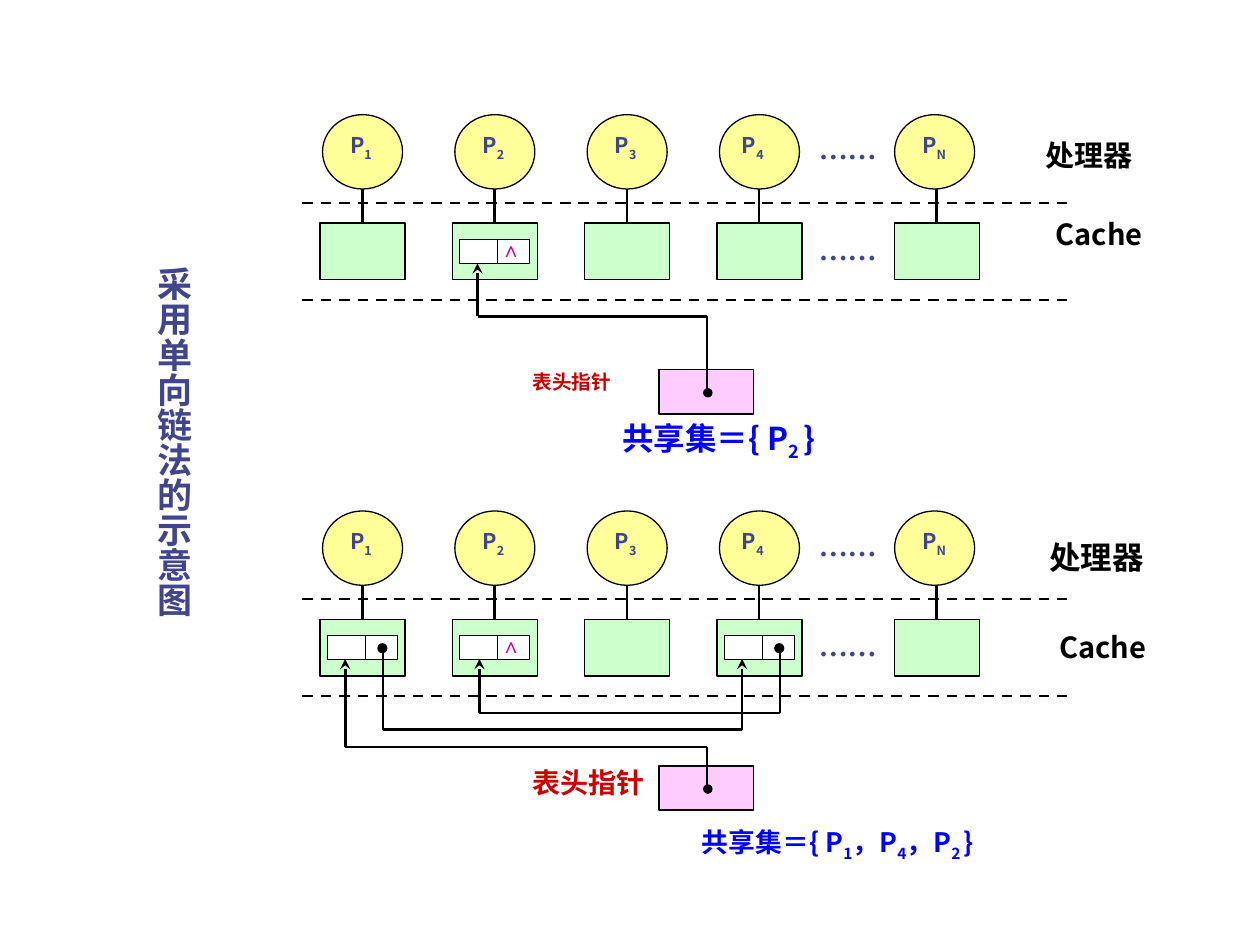
from itertools import pairwise

from lxml import etree
from pptx import Presentation
from pptx.dml.color import RGBColor
from pptx.enum.dml import MSO_LINE
from pptx.enum.shapes import MSO_CONNECTOR, MSO_SHAPE
from pptx.enum.text import MSO_AUTO_SIZE, PP_ALIGN
from pptx.oxml.ns import qn
from pptx.util import Inches, Pt

RECT, OVAL = MSO_SHAPE.RECTANGLE, MSO_SHAPE.OVAL
STRAIGHT, DASH = MSO_CONNECTOR.STRAIGHT, MSO_LINE.DASH
JUSTIFY, GROW = PP_ALIGN.JUSTIFY, MSO_AUTO_SIZE.SHAPE_TO_FIT_TEXT


class Theme:
    ink, title, shared = "000000", "40458C", "0000FF"
    processor, cache, slot, head = "FFFF99", "CCFFCC", "FFFFFF", "FFCCFF"
    pointer, null = "CC0000", "D60093"
    sans, serif, latin = "Noto Sans CJK SC", "Times New Roman", "Lato"
    title_size, large, medium, name_size = 20, 18, 16.6, 12.4
    thin, thick = 0.75, 1.5


deck = Presentation()
deck.slide_width, deck.slide_height = Inches(10), Inches(7.5)
page = deck.slides.add_slide(deck.slide_layouts[6])

# The page is a grid of 100 columns by 75 rows; every length counts in these.
COL, ROW = deck.slide_width / 100, deck.slide_height / 75


def add_box(kind, left, top, width, height, fill):
    box = page.shapes.add_shape(kind, int(left * COL), int(top * ROW),
                                int(width * COL), int(height * ROW))
    box.shadow.inherit = False
    box.fill.solid()
    box.fill.fore_color.rgb = RGBColor.from_string(fill)
    box.line.color.rgb = RGBColor.from_string(Theme.ink)
    box.line.width = Pt(Theme.thin)


def add_wire(points, width=Theme.thick, dash=None, arrow=False):
    """Join the points with straight connectors; an arrowhead ends the last."""
    for (x1, y1), (x2, y2) in pairwise(points):
        wire = page.shapes.add_connector(STRAIGHT, int(x1 * COL), int(y1 * ROW),
                                         int(x2 * COL), int(y2 * ROW))
        wire.line.color.rgb = RGBColor.from_string(Theme.ink)
        wire.line.width = Pt(width)
        if dash:
            wire.line.dash_style = dash
        etree.SubElement(wire._element.spPr, qn("a:effectLst"))
    if arrow:
        etree.SubElement(wire.line._get_or_add_ln(), qn("a:tailEnd"), type="stealth")


# Each processor: subscript, left edge of its cache, shift of circle and label
PITCH, FIRST, LAST = 10.5, 25.4, 71
processors = [(str(i + 1), FIRST + PITCH * i, 0.2, 1.2) for i in range(3)]
processors += [("4", FIRST + PITCH * 3, 0.2, 0.8), ("N", LAST, 0, 1.2)]

# Each state: top row, then the left edges of the caches that hold a list entry
states = [(9.1, [FIRST + PITCH]),
          (40.55, [FIRST, FIRST + PITCH, FIRST + PITCH * 3])]

# Texts: place, spans (every second one a subscript), font, size, colour, spacing
texts = []
for top, holders in states:
    for name, left, circle_shift, label_shift in processors:
        circle = left + circle_shift
        add_box(OVAL, circle, top, 6.35, 5.9, Theme.processor)
        add_box(RECT, left, top + 8.6, 6.75, 4.5, Theme.cache)
        add_wire([(left + 3.35, top + 5.9), (left + 3.35, top + 8.6)])
        texts.append(((circle + label_shift, top + 1.1, 5, 3.5), ["P", name],
                      Theme.sans, Theme.name_size, Theme.title, 0.8))
    for offset in (1.1, 9.1):
        texts.append(((64, top + offset, 7.3, 4), ["……"],
                      Theme.serif, Theme.medium, Theme.title, 0.9))
    for offset in (7, 14.7):
        add_wire([(24, top + offset), (84.7, top + offset)], dash=DASH)
    for left in holders:
        add_box(RECT, left + 0.6, top + 9.9, 5.55, 1.9, Theme.slot)
        add_wire([(left + 3.6, top + 9.9), (left + 3.6, top + 11.8)], Theme.thin)
    texts.append(((38.75, top + 9.15, 4.75, 3.2), ["∧"],
                  Theme.serif, 12, Theme.null, 1))
    add_box(RECT, 52.3, top + 20.25, 7.5, 3.5, Theme.head)
    add_box(OVAL, 55.85, top + 21.75, 0.65, 0.65, Theme.ink)

# Links: from the head pointer into the list, then from entry to entry
add_wire([(56.1, 31), (56.1, 25.1), (37.9, 25.1), (37.9, 20.9)], arrow=True)
add_wire([(56.1, 62.4), (56.1, 59.3), (27.4, 59.3), (27.4, 52.3)], arrow=True)
add_wire([(30.4, 51.5), (30.4, 57.9), (58.9, 57.9), (58.9, 52.3)], arrow=True)
add_wire([(61.9, 51.5), (61.9, 56.6), (38.05, 56.6), (38.05, 52.3)], arrow=True)
for left in (30, 61.5):
    add_box(OVAL, left, 51.1, 0.7, 0.7, Theme.ink)

texts += [
    ((82, 10.7, 11, 3.9), ["处理器"], Theme.serif, Theme.medium, Theme.ink, 0.9),
    ((82.3, 42.2, 11, 4.7), ["处理器"], Theme.serif, Theme.large, Theme.ink, 1),
    ((82.8, 17, 9.5, 3.9), ["Cache"], Theme.sans, Theme.medium, Theme.ink, 0.9),
    ((83.1, 49.8, 9.5, 3.9), ["Cache"], Theme.sans, Theme.medium, Theme.ink, 0.9),
    ((41.3, 29.2, 12.9, 2.9), ["表头指针"], Theme.serif, 11.2, Theme.pointer, 0.8),
    ((41.3, 60.3, 12.1, 4.2), ["表头指针"], Theme.serif, 16, Theme.pointer, 1),
    ((48.4, 32.8, 20.1, 4.4), ["共享集＝{ P", "2 ", "}"],
     Theme.sans, Theme.large, Theme.shared, 1),
    ((54.7, 65.1, 27.2, 4.4), ["共享集＝{ P", "1", "，P", "4", "，P", "2 ", "}"],
     Theme.sans, 15.3, Theme.shared, 0.9),
    ((10.7, 20.2, 5.3, 33.9), ["采用单向链法的示意图"],
     Theme.latin, Theme.title_size, Theme.title, 1),
]
for (left, top, width, height), spans, font, size, colour, spacing in texts:
    box = page.shapes.add_textbox(int(left * COL), int(top * ROW),
                                  int(width * COL), int(height * ROW))
    frame = box.text_frame
    frame.word_wrap = True
    para = frame.paragraphs[0]
    para.line_spacing = spacing
    if height > width:  # the title runs downwards
        frame.auto_size = GROW
        frame._txBody.bodyPr.set("vert", "eaVert")
        frame.margin_left = frame.margin_right = Inches(0.05)
        frame.margin_top = frame.margin_bottom = Inches(0.1)
        para.space_before = Pt(12.5)
    else:
        para.alignment = JUSTIFY
    for index, words in enumerate(spans):
        span = para.add_run()
        span.text = words
        span.font.name, span.font.size, span.font.bold = font, Pt(size), True
        span.font.color.rgb = RGBColor.from_string(colour)
        props = span.font._element
        etree.SubElement(props, qn("a:ea"), typeface=Theme.sans)
        if index % 2:
            props.set("baseline", "-25000")

deck.save("out.pptx")
